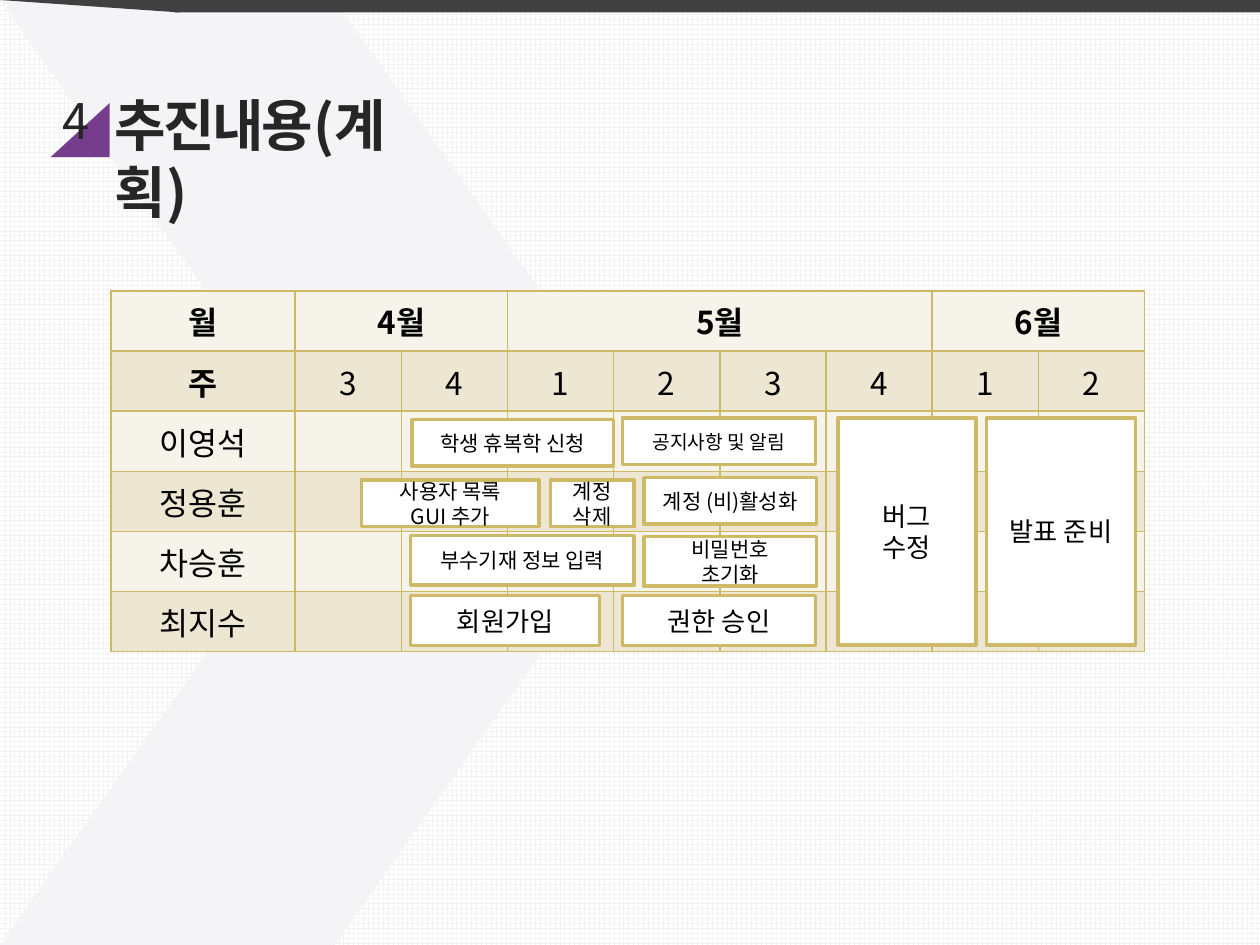
from pptx import Presentation
from pptx.dml.color import RGBColor
from pptx.enum.dml import MSO_PATTERN
from pptx.enum.shapes import MSO_SHAPE
from pptx.enum.text import MSO_ANCHOR, PP_ALIGN
from pptx.oxml import parse_xml
from pptx.oxml.ns import nsdecls, qn
from pptx.util import Cm, Pt

RECT = MSO_SHAPE.RECTANGLE
CHEVRON = MSO_SHAPE.CHEVRON
TRIANGLE = MSO_SHAPE.ISOSCELES_TRIANGLE
RT_TRIANGLE = MSO_SHAPE.RIGHT_TRIANGLE
GRID = MSO_PATTERN.LARGE_GRID
MIDDLE, TOP = MSO_ANCHOR.MIDDLE, MSO_ANCHOR.TOP
CENTER, LEFT = PP_ALIGN.CENTER, PP_ALIGN.LEFT

FONT = "Noto Sans CJK KR"
COLORS = {
    "white": "FFFFFF", "black": "000000", "grid": "F2F2F2", "chevron": "F4F3F6",
    "bar": "404040", "purple": "753D8B", "title": "262626", "gold": "CEB966",
    "light": "F6F3EA", "dark": "EDE6D3",
}

MONTHS = [("월", 0, 1), ("4월", 1, 2), ("5월", 3, 4), ("6월", 7, 2)]
WEEKS = ["주", "3", "4", "1", "2", "3", "4", "1", "2"]
MEMBERS = ["이영석", "정용훈", "차승훈", "최지수"]
TASKS = [
    ("비밀번호\n초기화", 12.98, 10.82, 3.48, 1, 12),
    ("부수기재 정보 입력", 8.28, 10.8, 4.5, 1, 12),
    ("권한 승인", 12.55, 12.01, 3.89, 1, 15),
    ("회원가입", 8.28, 12.01, 3.81, 1, 15),
    ("계정 (비)활성화", 12.98, 9.63, 3.48, 0.94, 12),
    ("계정 삭제", 11.1, 9.68, 1.68, 0.94, 12),
    ("공지사항 및 알림", 12.55, 8.43, 3.89, 0.94, 11),
    ("학생 휴복학 신청", 8.31, 8.46, 4.06, 0.94, 12),
    ("발표 준비", 19.89, 8.43, 3, 4.57, 15),
    ("버그\n수정", 16.89, 8.43, 2.79, 4.57, 15),
    ("사용자 목록\nGUI 추가", 7.29, 9.68, 3.58, 0.94, 12),
]


def rgb(name):
    """Return the named colour."""
    return RGBColor.from_string(COLORS[name])


def write(tf, text, size=18, color="black", bold=False, align=CENTER, spacing=None):
    """Fill a text frame with one paragraph per line of text."""
    for i, line in enumerate(text.split("\n")):
        p = tf.paragraphs[0] if i == 0 else tf.add_paragraph()
        p.alignment = align
        r = p.add_run()
        r.text = line
        r.font.size = Pt(size)
        r.font.bold = bold
        r.font.name = FONT
        r.font.color.rgb = rgb(color)
        rpr = r.font._element
        rpr.append(parse_xml(f'<a:ea {nsdecls("a")} typeface="{FONT}"/>'))
        if spacing is not None:
            rpr.set("spc", str(int(spacing * 100)))


class Deck:
    """Holds the shared style and the current slide."""

    def __init__(self, prs):
        """Add a blank slide with a grid background."""
        self.s = prs.slides.add_slide(prs.slide_layouts[6])
        self.shapes = self.s.shapes
        fill = self.s.background.fill
        fill.patterned()
        fill.pattern = GRID
        fill.fore_color.rgb = rgb("grid")
        fill.back_color.rgb = rgb("white")

    def group(self):
        """Place the following elements in a new group."""
        self.shapes = self.s.shapes.add_group_shape().shapes

    def ungroup(self):
        """Place the following elements directly on the slide."""
        self.shapes = self.s.shapes

    def shape(self, kind, x, y, w, h, fill=None, line=None, width=2, rotation=0, flip=False):
        """Draw a preset shape."""
        sp = self.shapes.add_shape(kind, Cm(x), Cm(y), Cm(w), Cm(h))
        sp.shadow.inherit = False
        sp.rotation = rotation
        if flip:
            sp._element.spPr.find(qn("a:xfrm")).set("flipH", "1")
        if fill:
            sp.fill.solid()
            sp.fill.fore_color.rgb = rgb(fill)
        else:
            sp.fill.background()
        if line:
            sp.line.color.rgb = rgb(line)
            sp.line.width = Pt(width)
        else:
            sp.line.fill.background()
        return sp

    def text(self, text, x, y, w, h, **fmt):
        """Add a wrapped text box."""
        tf = self.shapes.add_textbox(Cm(x), Cm(y), Cm(w), Cm(h)).text_frame
        tf.word_wrap = True
        tf.vertical_anchor = TOP
        write(tf, text, **fmt)

    def task(self, text, x, y, w, h, size):
        """Draw one task bar on the schedule."""
        tf = self.shape(RECT, x, y, w, h, "white", "gold").text_frame
        tf.word_wrap = True
        tf.vertical_anchor = MIDDLE
        write(tf, text, size=size)

    def cell(self, cell, fill):
        """Give a cell its fill and borders."""
        cell.vertical_anchor = MIDDLE
        cell.fill.solid()
        cell.fill.fore_color.rgb = rgb(fill)
        for i, side in enumerate(("lnL", "lnR", "lnT", "lnB")):
            cell._tc.get_or_add_tcPr().insert(i, parse_xml(
                f'<a:{side} {nsdecls("a")} w="12700"><a:solidFill>'
                f'<a:srgbClr val="{COLORS["gold"]}"/></a:solidFill></a:{side}>'))

    def schedule(self, x, y, first, col, row):
        """Draw the month and week table."""
        rows, cols = len(MEMBERS) + 2, len(WEEKS)
        table = self.shapes.add_table(rows, cols, Cm(x), Cm(y), Cm(first + col * (cols - 1)),
                                      Cm(row * rows)).table
        for j, column in enumerate(table.columns):
            column.width = Cm(col if j else first)
        for i in range(rows):
            table.rows[i].height = Cm(row)
            for j in range(cols):
                self.cell(table.cell(i, j), "dark" if i % 2 else "light")
        for month, j, span in MONTHS:
            if span > 1:
                table.cell(0, j).merge(table.cell(0, j + span - 1))
            write(table.cell(0, j).text_frame, month, bold=True)
        for j, week in enumerate(WEEKS):
            write(table.cell(1, j).text_frame, week, bold=j == 0)
        for i, member in enumerate(MEMBERS, 2):
            write(table.cell(i, 0).text_frame, member)


def main():
    """Build the schedule slide."""
    prs = Presentation()
    prs.slide_width, prs.slide_height = Cm(25.4), Cm(19.05)
    deck = Deck(prs)
    deck.shape(TRIANGLE, 17.09, 8.94, 10.67, 7.82, line="white", width=0.25, rotation=27.2)
    deck.shape(CHEVRON, 0, 0, 13.49, 19.05, "chevron")
    deck.shape(RT_TRIANGLE, 0, 0, 3.61, 0.25, "bar", rotation=180)
    deck.shape(RECT, 3.51, -0.03, 21.89, 0.28, "bar")

    deck.group()
    deck.shape(RT_TRIANGLE, 1.02, 2.08, 1.19, 1.09, "purple", flip=True)
    deck.text("추진내용(계획)", 2.06, 1.7, 7.19, 1.63, size=32, color="title", bold=True,
              align=LEFT, spacing=-1.5)
    deck.text("4", 1.02, 1.7, 1.4, 1.45, size=28, color="title", align=LEFT, spacing=-3)

    deck.ungroup()
    deck.schedule(2.24, 5.87, first=3.71, col=2.14, row=1.21)
    for task in TASKS:
        deck.task(*task)
    prs.save("out.pptx")


if __name__ == "__main__":
    main()
